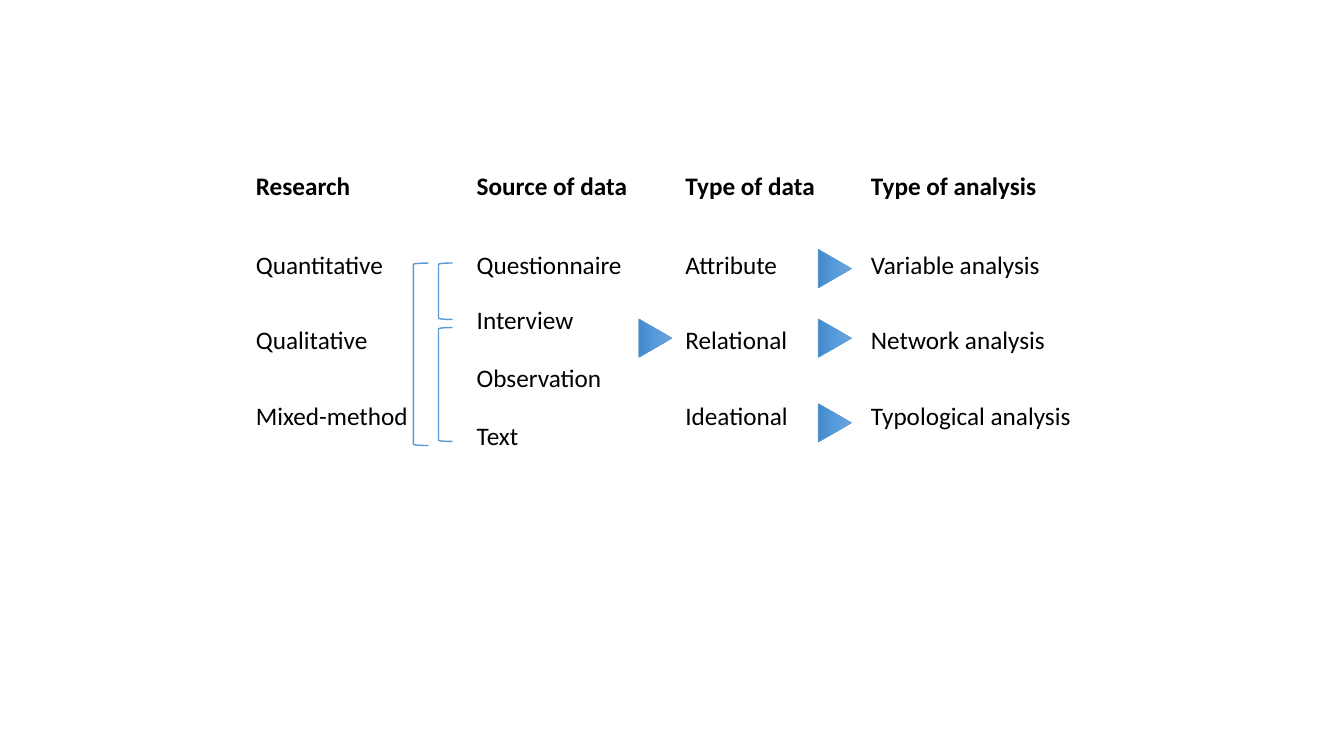
import copy
import dataclasses
import pptx
import pptx.util
import pptx.dml.color
import pptx.enum.shapes
import pptx.enum.text
import pptx.oxml.ns

Inches = pptx.util.Inches
Pt = pptx.util.Pt
Shape = pptx.enum.shapes.MSO_SHAPE


@dataclasses.dataclass(frozen=True)
class Theme:
    font: str = "Calibri"
    size: int = 18
    ink: str = "000000"
    line: str = "5B9BD5"
    fade: tuple = ((0, "71A6DB"), (0.5, "559BDB"), (1, "448ACA"))


THEME = Theme()
HEAD = 1.64
ROWS = [2.42 + 0.75 * i for i in range(3)]
COLUMNS = [
    (2.44, ("Research", 1.2), ROWS,
     [("Quantitative", 1.48), ("Qualitative", 1.33), ("Mixed-method", 1.73)]),
    (4.63, ("Source of data", 1.72), [2.42, 2.97, 3.55, 4.12],
     [("Questionnaire", 1.66), ("Interview", 1.17), ("Observation", 1.46), ("Text", 0.62)]),
    (6.7, ("Type of data", 1.51), ROWS,
     [("Attribute", 1.13), ("Relational", 1.23), ("Ideational", 1.23)]),
    (8.54, ("Type of analysis", 1.87), ROWS,
     [("Variable analysis", 1.91), ("Network analysis", 1.96), ("Typological analysis", 2.22)]),
]
ARROWS = [(8.09, 2.5), (8.09, 3.19), (8.09, 4.03), (6.31, 3.19)]
BRACKETS = [(4.35, 2.61, 0.14, 0.56), (4.35, 3.25, 0.14, 1.13), (4.1, 2.61, 0.15, 1.81)]


def color(code):
    return pptx.dml.color.RGBColor.from_string(code)


def add_label(slide, left, top, width, text, bold=False):
    box = slide.shapes.add_textbox(Inches(left), Inches(top), Inches(width), Inches(0.4))
    frame = box.text_frame
    frame.word_wrap = False
    frame.auto_size = pptx.enum.text.MSO_AUTO_SIZE.SHAPE_TO_FIT_TEXT
    run = frame.paragraphs[0].add_run()
    run.text = text
    run.font.name = THEME.font
    run.font.size = Pt(THEME.size)
    run.font.bold = bold
    run.font.color.rgb = color(THEME.ink)


def add_form(slide, kind, left, top, width, height, weight):
    form = slide.shapes.add_shape(
        kind, Inches(left), Inches(top), Inches(width), Inches(height))
    form.shadow.inherit = False
    form.line.color.rgb = color(THEME.line)
    form.line.width = Pt(weight)
    return form


def add_arrow(slide, left, top):
    arrow = add_form(slide, Shape.ISOSCELES_TRIANGLE, left, top, 0.38, 0.33, 0.5)
    arrow.rotation = 90
    arrow.fill.gradient()
    arrow.fill.gradient_angle = 270
    stops = next(arrow.element.iter(pptx.oxml.ns.qn("a:gsLst")))
    stops.insert(1, copy.deepcopy(stops[0]))
    for stop, (place, code) in zip(arrow.fill.gradient_stops, THEME.fade):
        stop.position = place
        stop.color.rgb = color(code)


def add_bracket(slide, left, top, width, height):
    add_form(slide, Shape.LEFT_BRACKET, left, top, width, height, 1).fill.background()


def main():
    deck = pptx.Presentation()
    deck.slide_width = Inches(13.33)
    deck.slide_height = Inches(7.5)
    slide = deck.slides.add_slide(deck.slide_layouts[6])
    for left, (title, width), tops, items in COLUMNS:
        add_label(slide, left, HEAD, width, title, True)
        for top, (text, span) in zip(tops, items):
            add_label(slide, left, top, span, text)
    for spot in ARROWS:
        add_arrow(slide, *spot)
    for area in BRACKETS:
        add_bracket(slide, *area)
    deck.save("out.pptx")


if __name__ == "__main__":
    main()
